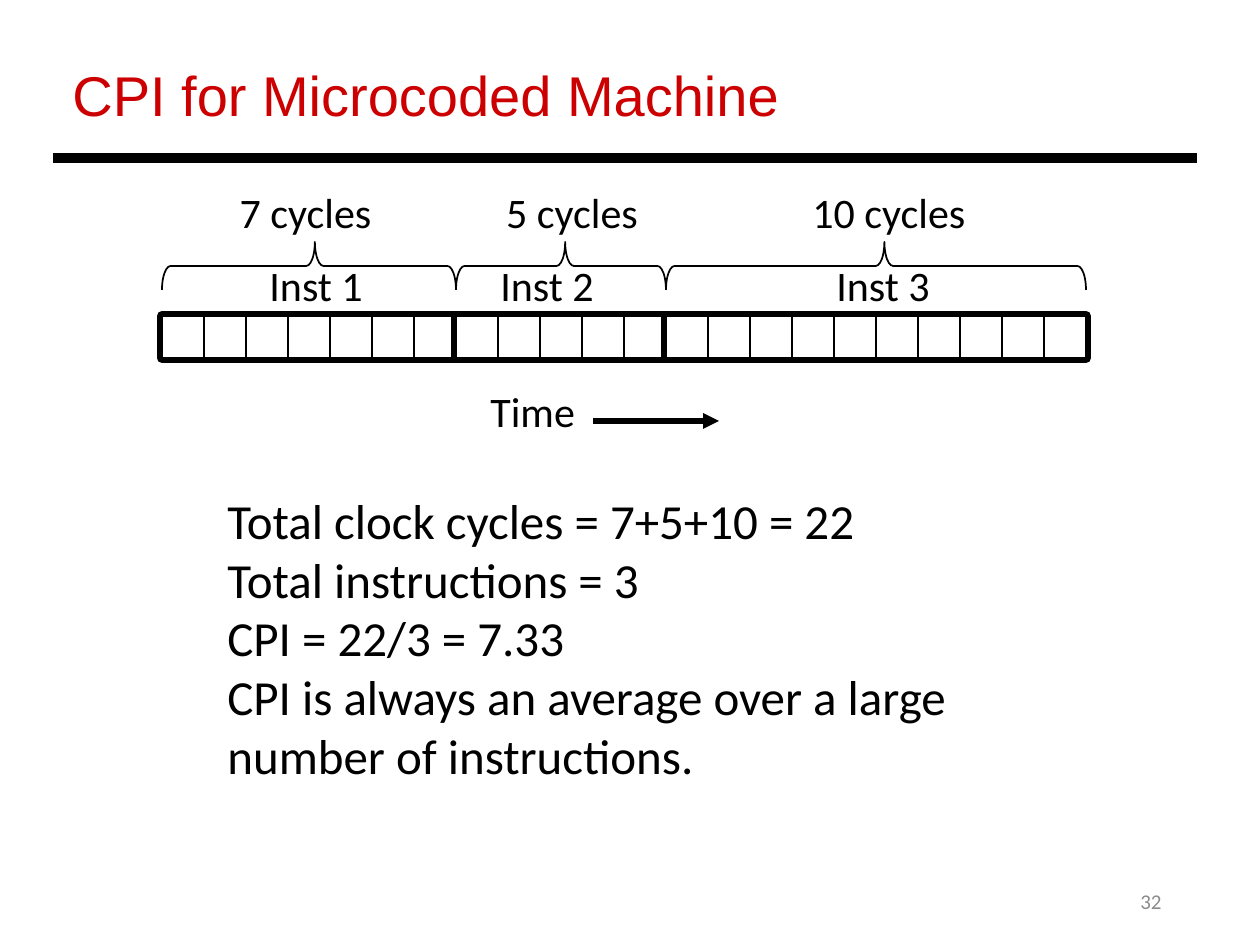
from dataclasses import dataclass

from lxml import etree
from pptx import Presentation
from pptx.dml.color import RGBColor
from pptx.enum.shapes import MSO_CONNECTOR, MSO_SHAPE
from pptx.enum.text import MSO_ANCHOR, MSO_AUTO_SIZE, PP_ALIGN
from pptx.oxml.ns import qn
from pptx.util import Emu, Pt

PX = 914400 // 126
LEFT, CENTER, RIGHT = PP_ALIGN.LEFT, PP_ALIGN.CENTER, PP_ALIGN.RIGHT
TOP, MIDDLE = MSO_ANCHOR.TOP, MSO_ANCHOR.MIDDLE
GROW, FIXED = MSO_AUTO_SIZE.SHAPE_TO_FIT_TEXT, MSO_AUTO_SIZE.NONE
STRAIGHT = MSO_CONNECTOR.STRAIGHT
RECTANGLE, LEFT_BRACE = MSO_SHAPE.RECTANGLE, MSO_SHAPE.LEFT_BRACE


@dataclass(frozen=True)
class Theme:
    black: RGBColor = RGBColor(0, 0, 0)
    white: RGBColor = RGBColor(255, 255, 255)
    red: RGBColor = RGBColor(0xCC, 0, 0)
    gray: RGBColor = RGBColor(0x8C, 0x8C, 0x8C)
    title_font: str = "Arial"
    body_font: str = "Calibri"
    title_size: int = 32
    body_size: int = 28
    label_size: int = 24
    number_size: int = 12
    thick: int = 6
    arrow: int = 3
    thin: int = 1


THEME = Theme()

prs = Presentation()
prs.slide_width, prs.slide_height = Emu(1260 * PX), Emu(945 * PX)
slide = prs.slides.add_slide(prs.slide_layouts[6])


def add_text(box, lines, size=THEME.label_size, color=THEME.black, font=THEME.body_font,
             align=LEFT, wrap=True, anchor=TOP, fit=GROW):
    frame = slide.shapes.add_textbox(*(Emu(v * PX) for v in box)).text_frame
    frame.word_wrap, frame.auto_size, frame.vertical_anchor = wrap, fit, anchor
    for i, line in enumerate(lines):
        paragraph = frame.paragraphs[0] if i == 0 else frame.add_paragraph()
        paragraph.alignment = align
        run = paragraph.add_run()
        run.text = line
        run.font.name, run.font.size = font, Pt(size)
        run.font.color.rgb = color


def add_outlined(kind, x, y, w, h, weight):
    """Add a white shape with a black outline of the given weight."""
    shape = slide.shapes.add_shape(kind, *(Emu(v * PX) for v in (x, y, w, h)))
    shape.shadow.inherit = False
    shape.fill.solid()
    shape.fill.fore_color.rgb = THEME.white
    shape.line.color.rgb = THEME.black
    shape.line.width = Pt(weight)
    return shape


add_text((890, 876, 284, 50), ["32"], THEME.number_size, THEME.gray,
         align=RIGHT, anchor=MIDDLE, fit=FIXED)
add_text((60, 54, 1106, 81), ["CPI for Microcoded Machine"], THEME.title_size,
         THEME.red, THEME.title_font)

# Title rule and time arrow
for x1, x2, y, weight in ((53, 1197, 158, THEME.thick), (593, 719, 421, THEME.arrow)):
    line = slide.shapes.add_connector(
        STRAIGHT, *(Emu(v * PX) for v in (x1, y, x2, y)))
    line.line.color.rgb = THEME.black
    line.line.width = Pt(weight)
    etree.SubElement(line._element.spPr, qn("a:effectLst"))
time_arrow = line
etree.SubElement(time_arrow.line._get_or_add_ln(), qn("a:tailEnd"), type="triangle")

# Instructions: cycles, x and width of the cycle label, x of the name, label wrap
CELL = 42
STRIP_TOP = 316
BRACE_DEPTH, BRACE_MIDDLE = 48, 266
INSTRUCTIONS = ((7, 226, 159, 257, False), (5, 467, 210, 488, True),
                (10, 761, 256, 824, True))

start = 162
for number, (cycles, cycles_x, cycles_w, name_x, wrap) in enumerate(INSTRUCTIONS, 1):
    span = cycles * CELL
    brace = add_outlined(LEFT_BRACE, start + (span - BRACE_DEPTH) // 2,
                         BRACE_MIDDLE - span // 2, BRACE_DEPTH, span, THEME.thin)
    brace.rotation = 90
    brace.adjustments[0], brace.adjustments[1] = 0.18, 0.48

    add_outlined(RECTANGLE, start, STRIP_TOP, span, CELL, THEME.thick)
    for cycle in range(cycles):
        add_outlined(RECTANGLE, start + cycle * CELL, STRIP_TOP, CELL, CELL, THEME.thin)

    add_text((cycles_x, 180, cycles_w, 63), [f"{cycles} cycles"], align=CENTER, wrap=wrap)
    add_text((name_x, 253, 120, 63), [f"Inst {number}"], wrap=False)
    start += span

add_text((478, 379, 111, 63), ["Time"], wrap=False)
add_text((215, 484, 851, 398), [
    "Total clock cycles = 7+5+10 = 22",
    "Total instructions = 3",
    "CPI = 22/3 = 7.33",
    "CPI is always an average over a large number of instructions.",
], THEME.body_size)

prs.save("out.pptx")
